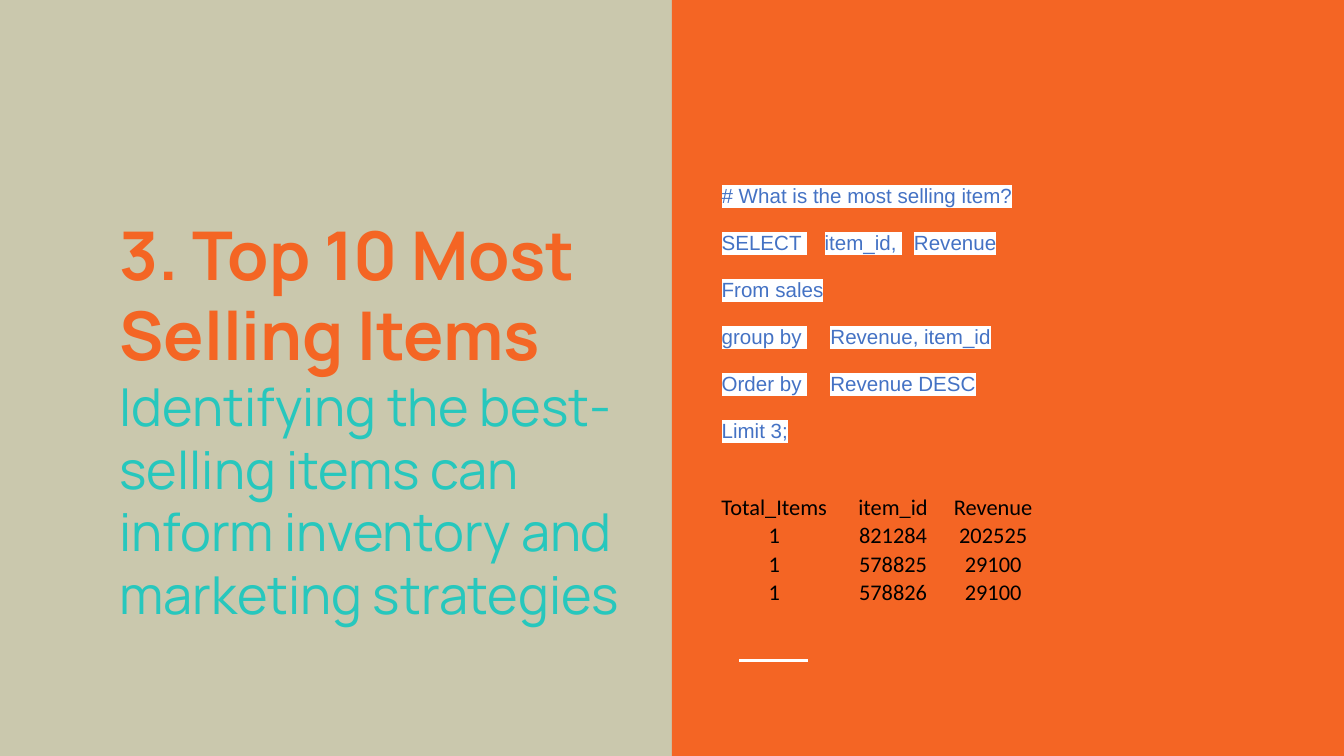
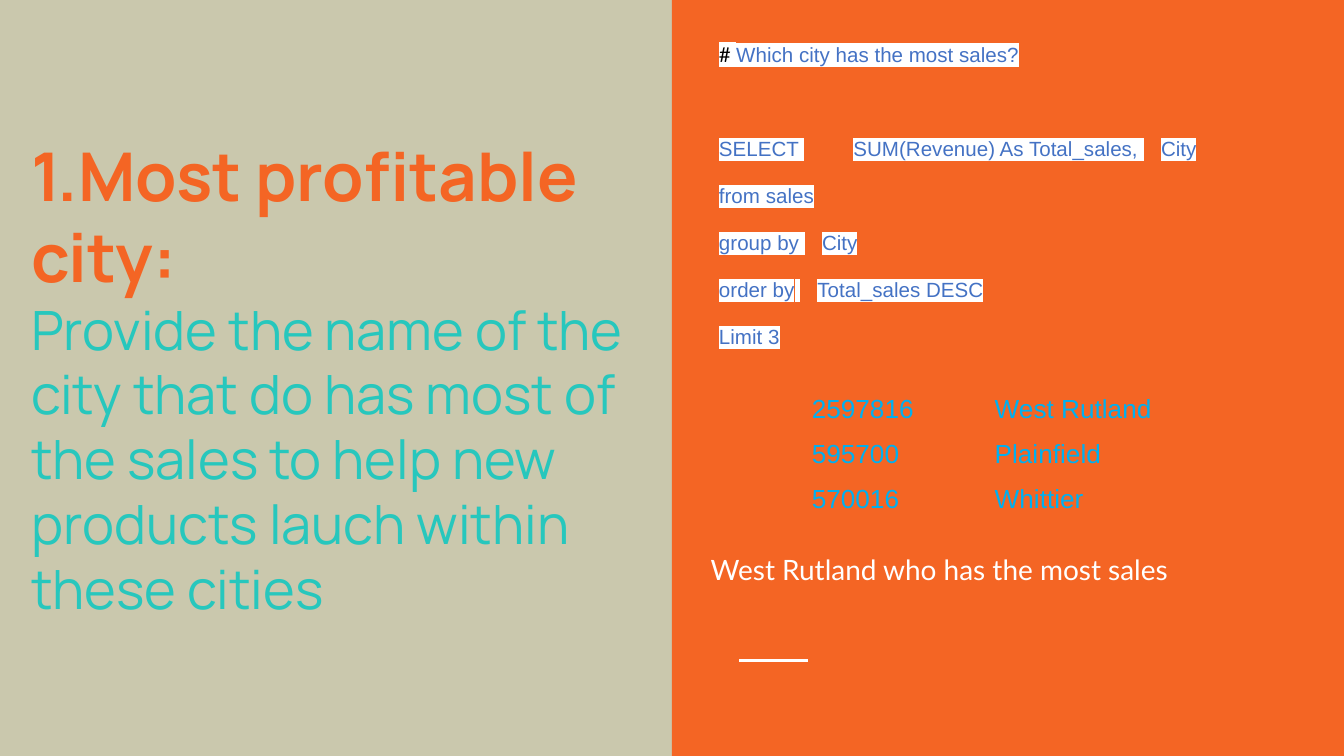
from lxml.etree import SubElement
from pptx import Presentation
from pptx.dml.color import RGBColor
from pptx.enum.shapes import MSO_CONNECTOR, MSO_SHAPE
from pptx.enum.text import MSO_ANCHOR, MSO_AUTO_SIZE, PP_ALIGN
from pptx.oxml.ns import qn
from pptx.util import Pt

SAND = RGBColor(0xCA, 0xC8, 0xAD)
ORANGE = RGBColor(0xF4, 0x65, 0x24)
TEAL = RGBColor(0x27, 0xC7, 0xBD)
CODE_BLUE = RGBColor(0x44, 0x72, 0xC4)
SKY = RGBColor(0x00, 0xB0, 0xF0)
WHITE = RGBColor(0xFF, 0xFF, 0xFF)
BLACK = RGBColor(0x00, 0x00, 0x00)

NO_STYLE = "{2D5ABB26-0587-4C30-8999-92F81FD0307C}"
SPACE_WIDTH = 3.06  # one Arial space at 11 pt
INSET = 7.2


def add_run(para, text, font, size, color, bold=False, highlight=None):
    span = para.add_run()
    span.text = text
    span.font.size = Pt(size)
    span.font.bold = bold
    span.font.color.rgb = color
    if highlight is not None:
        mark = SubElement(span._r.get_or_add_rPr(), qn("a:highlight"))
        SubElement(mark, qn("a:srgbClr"), val=str(highlight))
    span.font.name = font
    return span


def add_result(page, left, top, widths, row_height, rows, font, size, color):
    """Add an unstyled query result table and return it."""
    table = page.shapes.add_table(len(rows), len(widths), Pt(left), Pt(top),
                                  Pt(sum(widths)), Pt(row_height * len(rows))).table
    table.first_row = table.horz_banding = False
    table._tbl.tblPr.find(qn("a:tableStyleId")).text = NO_STYLE
    for column, width in zip(table.columns, widths):
        column.width = Pt(width)
    for row, values in zip(table.rows, rows):
        row.height = Pt(row_height)
        for cell, value in zip(row.cells, values):
            cell.fill.background()
            cell.vertical_anchor = MSO_ANCHOR.MIDDLE
            add_run(cell.text_frame.paragraphs[0], value, font, size, color)
    return table


# A number inside a code line is a gap that many spaces wide.
SLIDES = [
    {
        "title": "3. Top 10 Most Selling Items",
        "subtitle": "Identifying the best-selling items can inform inventory "
                    "and marketing strategies",
        "subtitle_size": 28,
        "title_box": (20.9, 195, 318.2, 59),
        "title_indent": 36,
        "code_box": (361.4, 90.7, 344.9, 196.6),
        "code": [
            ["# What is the most selling item?"],
            ["SELECT", 4, "item_id,", 3, "Revenue"],
            ["From sales"],
            ["group by", 5, "Revenue, item_id"],
            ["Order by", 5, "Revenue DESC"],
            ["Limit 3;"],
        ],
    },
    {
        "title": "1.Most profitable city:",
        "subtitle": "Provide the name of the city that do has most of the sales "
                    "to help new products lauch within these cities",
        "subtitle_size": 29,
        "title_box": (9.4, 150.5, 350.6, 103.7),
        "title_indent": 0,
        "code_box": (360, 15.1, 355, 193),
        "code": [
            ["# ", "Which city has the most sales?"],
            ["SELECT \tSUM(Revenue) As Total_sales,", 4, "City"],
            ["from sales"],
            ["group by", 4, "City"],
            ["order by", 4, "Total_sales DESC"],
            ["Limit 3"],
        ],
    },
]

deck = Presentation()
deck.slide_width, deck.slide_height = Pt(720), Pt(405)
background = deck.slide_master.background.fill
background.solid()
background.fore_color.rgb = SAND

pages = []
for content in SLIDES:
    page = deck.slides.add_slide(deck.slide_layouts[5])
    pages.append(page)

    band = page.shapes.add_shape(MSO_SHAPE.RECTANGLE, Pt(360), 0, Pt(360), Pt(405))
    band.shadow.inherit = False
    band.fill.solid()
    band.fill.fore_color.rgb = ORANGE
    band.line.fill.background()

    rule = page.shapes.add_connector(MSO_CONNECTOR.STRAIGHT,
                                     Pt(396), Pt(354), Pt(432.7), Pt(354))
    rule.line.color.rgb = WHITE
    rule.line.width = Pt(1.5)
    SubElement(rule._element.spPr, qn("a:effectLst"))

    title = page.shapes.title
    title.left, title.top, title.width, title.height = map(Pt, content["title_box"])
    frame = title.text_frame
    frame.word_wrap = True
    frame.auto_size = MSO_AUTO_SIZE.NONE
    frame.vertical_anchor = MSO_ANCHOR.MIDDLE
    frame.margin_left = Pt(INSET + content["title_indent"])
    frame.margin_top = frame.margin_right = frame.margin_bottom = Pt(INSET)
    heading, subtitle = frame.paragraphs[0], frame.add_paragraph()
    heading.alignment = subtitle.alignment = PP_ALIGN.LEFT
    add_run(heading, content["title"], "Manrope", 36, ORANGE, bold=True)
    add_run(subtitle, content["subtitle"], "Manrope", content["subtitle_size"], TEAL)

    box = page.shapes.add_textbox(*map(Pt, content["code_box"]))
    frame = box.text_frame
    frame.word_wrap = True
    frame.margin_left = Pt(INSET + 18)
    frame.margin_top = frame.margin_right = frame.margin_bottom = Pt(INSET)
    for number, line in enumerate(content["code"]):
        para = frame.add_paragraph() if number else frame.paragraphs[0]
        para.space_before = Pt(12)
        para.line_spacing = Pt(13.2)
        for part in line:
            if isinstance(part, int):
                gap = add_run(para, " ", "Arial", 11, CODE_BLUE, highlight=WHITE)
                spacing = round((part - 1) * SPACE_WIDTH * 100)
                gap._r.get_or_add_rPr().set("spc", str(spacing))
            elif part == "# ":
                add_run(para, part, "Lato", 11, BLACK, highlight=WHITE)
            else:
                add_run(para, part, "Arial", 11, CODE_BLUE, highlight=WHITE)

items_page, city_page = pages

# Top items: centred cells with borders in the colour of the band
items = add_result(items_page, 373, 264.2, [83.5, 43.9, 63.4], 15.1, [
    ["Total_Items", "item_id", "Revenue"],
    ["1", "821284", "202525"],
    ["1", "578825", "29100"],
    ["1", "578826", "29100"],
], "Calibri", 12, BLACK)
for cell in items.iter_cells():
    cell.vertical_anchor = MSO_ANCHOR.BOTTOM
    cell.margin_left = cell.margin_right = cell.margin_top = Pt(0.7)
    cell.margin_bottom = 0
    cell.text_frame.paragraphs[0].alignment = PP_ALIGN.CENTER
    properties = cell._tc.get_or_add_tcPr()
    for position, side in enumerate(("lnL", "lnR", "lnT", "lnB")):
        border = SubElement(properties, qn(f"a:{side}"), w=str(Pt(1)))
        fill = SubElement(border, qn("a:solidFill"))
        SubElement(fill, qn("a:srgbClr"), val=str(ORANGE))
        properties.insert(position, border)

# Best city: an empty line after the question, the result and its conclusion
city_code = city_page.shapes[-1].text_frame
city_code.paragraphs[1].space_before = Pt(37.2)
add_result(city_page, 427.7, 207.4, [98, 156.5], 23.9, [
    ["2597816", "West Rutland"],
    ["595700", "Plainfield"],
    ["570016", "Whittier"],
], "Arial", 14, SKY)

conclusion = city_page.shapes.add_textbox(Pt(373.7), Pt(287), Pt(302.4), Pt(36))
frame = conclusion.text_frame
frame.word_wrap = True
frame.vertical_anchor = MSO_ANCHOR.MIDDLE
add_run(frame.paragraphs[0], "West Rutland who has the most sales", "Lato", 15, WHITE)

deck.save("out.pptx")
